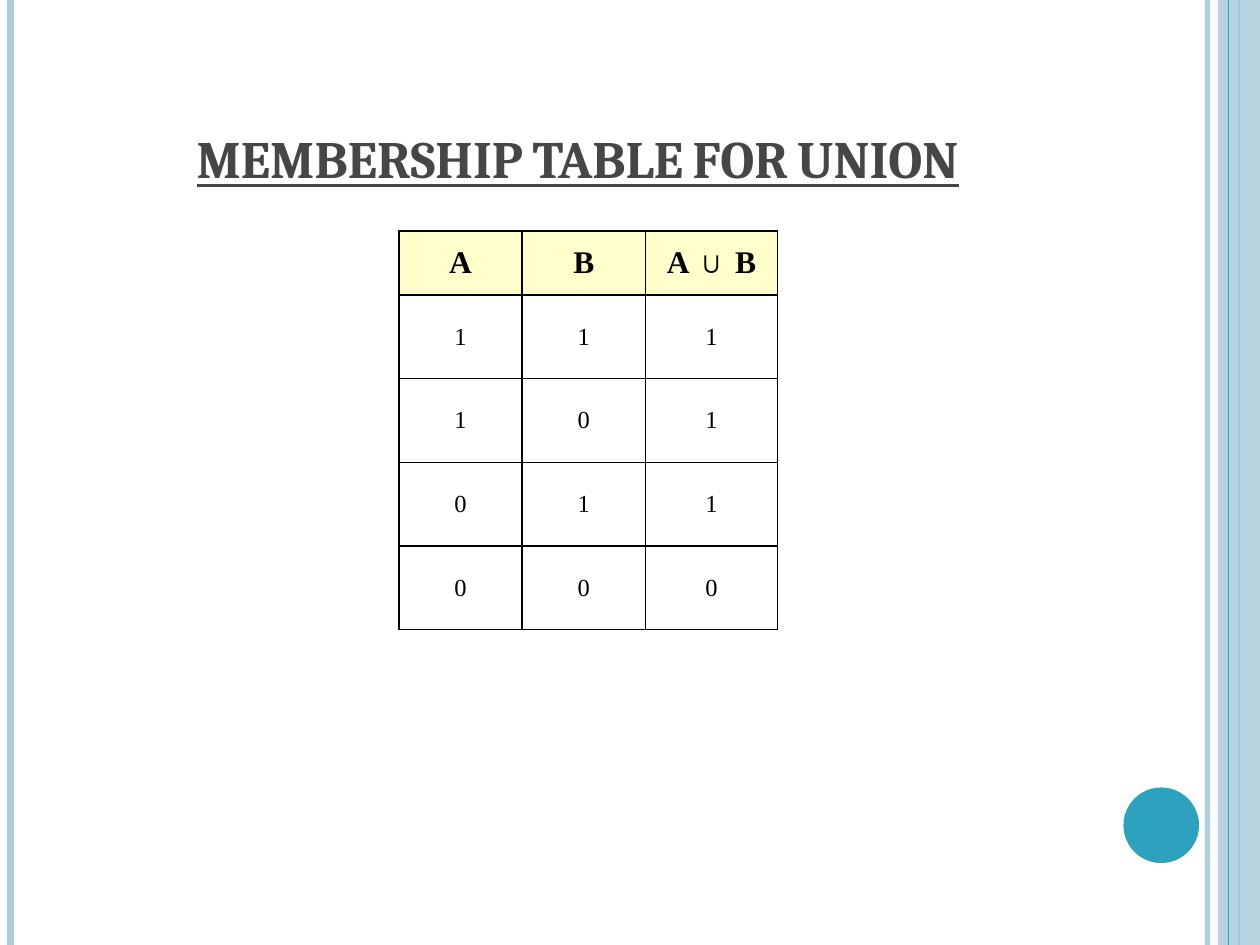
from lxml import etree
from pptx import Presentation
from pptx.dml.color import RGBColor
from pptx.enum.shapes import MSO_CONNECTOR, MSO_SHAPE
from pptx.enum.text import MSO_ANCHOR, PP_ALIGN
from pptx.oxml import parse_xml
from pptx.oxml.ns import qn
from pptx.util import Pt

STRAIGHT = MSO_CONNECTOR.STRAIGHT
RECTANGLE, OVAL = MSO_SHAPE.RECTANGLE, MSO_SHAPE.OVAL
MIDDLE, BOTTOM = MSO_ANCHOR.MIDDLE, MSO_ANCHOR.BOTTOM
CENTER = PP_ALIGN.CENTER

PALE_BLUE = RGBColor(0xAD, 0xCE, 0xDC)
TEAL = RGBColor(0x2D, 0xA2, 0xBF)
GRAY = RGBColor(0x46, 0x46, 0x46)
BLACK = RGBColor(0, 0, 0)
CREAM = RGBColor(0xFF, 0xFF, 0xCC)
WIDTH, HEIGHT = 720, 540
NAMESPACE = "http://schemas.openxmlformats.org/drawingml/2006/main"

deck = Presentation()
deck.slide_width, deck.slide_height = Pt(WIDTH), Pt(HEIGHT)
page = deck.slides.add_slide(deck.slide_layouts[6])


def set_opacity(element, percent):
    color = element.find(".//" + qn("a:srgbClr"))
    etree.SubElement(color, qn("a:alpha")).set("val", str(percent * 1000))


def add_stripe(left, color, weight, opacity=100):
    stripe = page.shapes.add_connector(STRAIGHT, Pt(left), Pt(0), Pt(left), Pt(HEIGHT))
    stripe.line.color.rgb = color
    stripe.line.width = Pt(weight)
    etree.SubElement(stripe._element.spPr, qn("a:effectLst"))
    if opacity < 100:
        set_opacity(stripe._element.spPr, opacity)


add_stripe(690, PALE_BLUE, 3, 93)
add_stripe(6, PALE_BLUE, 4.5)
add_stripe(708, TEAL, 1.5)

for kind, left, top, width, height, color, opacity in (
    (RECTANGLE, 696, 0, 24, HEIGHT, PALE_BLUE, 87),
    (OVAL, 642, 450, 43.2, 43.2, TEAL, 100),
):
    shape = page.shapes.add_shape(kind, Pt(left), Pt(top), Pt(width), Pt(height))
    shape.shadow.inherit = False
    shape.fill.solid()
    shape.fill.fore_color.rgb = color
    shape.line.fill.background()
    if kind == RECTANGLE:
        set_opacity(shape._element.spPr, opacity)
        add_stripe(702, TEAL, 0.75)

title = page.shapes.add_textbox(Pt(36), Pt(21.6), Pt(588), Pt(90))
title.text_frame.word_wrap = True
title.text_frame.vertical_anchor = BOTTOM
title.text_frame.text = "MEMBERSHIP TABLE FOR UNION"
para = title.text_frame.paragraphs[0]
para.alignment = CENTER
font = para.runs[0].font
font.name, font.size, font.color.rgb = "Cambria", Pt(30), GRAY
font.bold = font.underline = True
font._element.set("cap", "small")

rows = ["A", "B", "A ∪ B"], "111", "101", "011", "000"
column_widths = 70.4, 70.4, 75.6
row_heights = 36.6, 47.8, 47.8, 47.8, 47.8
frame = page.shapes.add_table(
    len(rows), len(column_widths), Pt(228), Pt(132),
    Pt(sum(column_widths)), Pt(sum(row_heights)),
)
table = frame.table
for column, width in zip(table.columns, column_widths):
    column.width = Pt(width)
for row, height in zip(table.rows, row_heights):
    row.height = Pt(height)

for row_index, values in enumerate(rows):
    header = row_index == 0
    for column_index, value in enumerate(values):
        cell = table.cell(row_index, column_index)
        cell.margin_left = cell.margin_right = cell.margin_top = cell.margin_bottom = 0
        cell.vertical_anchor = MIDDLE
        cell.text_frame.text = value
        para = cell.text_frame.paragraphs[0]
        para.alignment = CENTER
        font = para.runs[0].font
        font.name, font.color.rgb = "Times New Roman", BLACK
        font.size, font.bold = Pt(18 if header else 14), header
        properties = cell._tc.get_or_add_tcPr()
        for side in ("lnL", "lnR", "lnT", "lnB"):
            properties.append(parse_xml(
                f'<a:{side} xmlns:a="{NAMESPACE}" w="{Pt(1)}"><a:solidFill>'
                f'<a:srgbClr val="{BLACK}"/></a:solidFill></a:{side}>'
            ))
        if header:
            cell.fill.solid()
            cell.fill.fore_color.rgb = CREAM
        else:
            cell.fill.background()

deck.save("out.pptx")
